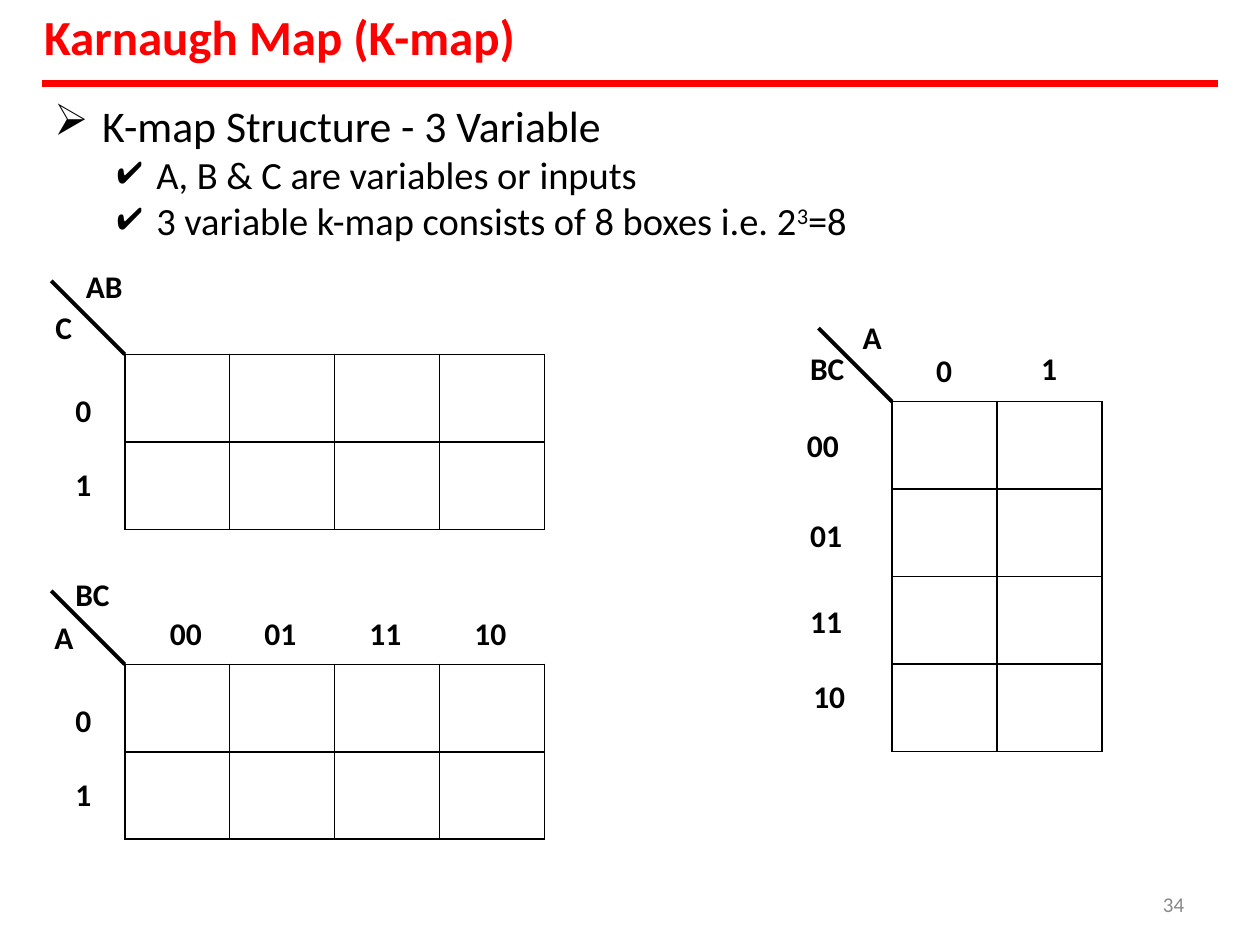
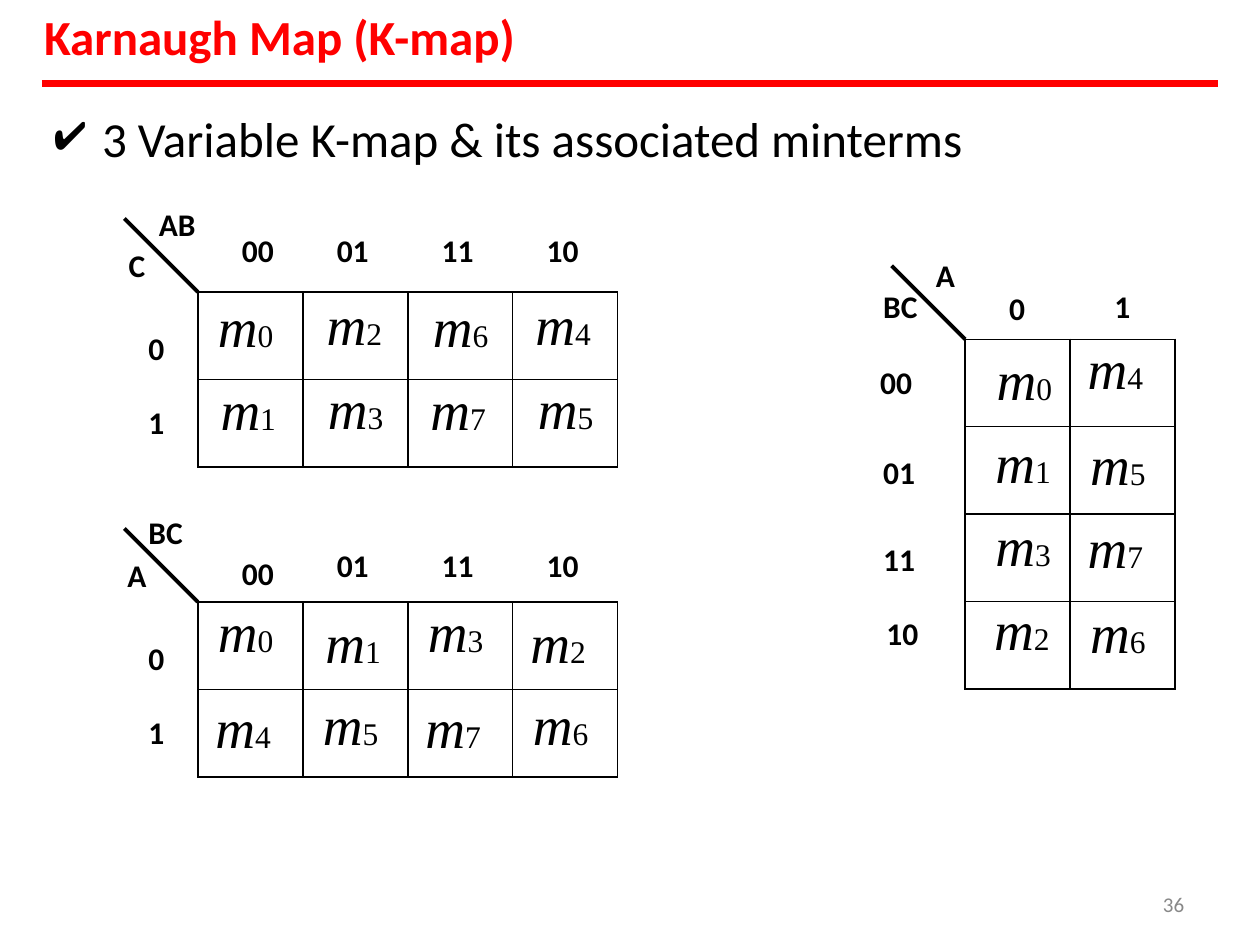
from lxml import etree
from pptx import Presentation
from pptx.dml.color import RGBColor
from pptx.enum.shapes import MSO_CONNECTOR
from pptx.oxml.ns import qn
from pptx.util import Inches, Pt

STRAIGHT = MSO_CONNECTOR.STRAIGHT
RED = RGBColor(0xFF, 0x00, 0x00)
BLACK = RGBColor(0x00, 0x00, 0x00)
GREY = RGBColor(0x88, 0x88, 0x88)
SANS, SERIF, SIGNS = "Calibri", "Times New Roman", "OpenSymbol"
WIDE, HIGH = Inches(10), Inches(7.5)

# Cell of a map; all parts of a map are placed in these units
COL, ROW = WIDE // 12, Pt(50)
GRAY = ["00", "01", "11", "10"]

# Corners of the maps, in percent of the slide
TOP, LOW, TALL = (9.9, 37.5), (9.9, 70.3), (70.8, 42.5)
SHIFT = (5.8, -6.6)

# Labels of the maps: text, columns and rows from the corner
SIDE = [("0", -0.48, 0.41), ("1", -0.48, 1.25)]
AB_C = [("AB", -0.38, -1.01), ("C", -0.67, -0.54)] + SIDE
BC_A = [("BC", -0.48, -1.03), ("A", -0.68, -0.54)] + SIDE
HEADS = [(code, 0.32 + i if i else 0.42, -0.59) for i, code in enumerate(GRAY)]
A_BC = [("A", -0.29, -0.97), ("BC", -0.79, -0.61),
        ("0", 0.41, -0.59), ("1", 1.41, -0.61),
        ("00", -0.82, 0.26), ("01", -0.79, 1.29),
        ("11", -0.79, 2.28), ("10", -0.76, 3.13)]

# Minterms: index, left and top margin in inches
TOP_TERMS = [[(0, 0.16, 0.05), (2, 0.19, 0.04), (6, 0.2, 0.05), (4, 0.18, 0.04)],
             [(1, 0.18, 0.02), (3, 0.2, 0.01), (7, 0.18, 0.02), (5, 0.2, 0.01)]]
LOW_TERMS = [[(0, 0.16, 0.01), (1, 0.18, 0.1), (3, 0.16, 0.01), (2, 0.14, 0.1)],
             [(4, 0.14, 0.08), (5, 0.16, 0.06), (7, 0.14, 0.08), (6, 0.16, 0.06)]]
TALL_TERMS = [[(0, 0.25, 0.1), (4, 0.14, 0.01)],
              [(1, 0.24, 0.06), (5, 0.16, 0.08)],
              [(3, 0.24, 0.03), (7, 0.14, 0.04)],
              [(2, 0.23, 0), (6, 0.16, 0.02)]]


def style(font, size, color=BLACK, bold=False, name=SANS):
    font.name, font.size, font.bold = name, Pt(size), bold
    font.color.rgb = color


def box(slide, x, y, w, h, wrap=False):
    frame = slide.shapes.add_textbox(int(x), int(y), int(w), int(h)).text_frame
    frame.margin_left = frame.margin_right = frame.margin_bottom = 0
    frame.margin_top = Inches(0.01)
    frame.word_wrap = wrap
    return frame


def write(slide, text, x, y, w, h, size, color=BLACK, bold=False):
    para = box(slide, x, y, w, h).paragraphs[0]
    para.text = text
    style(para.font, size, color, bold)


def rule(slide, x1, y1, x2, y2, width, color):
    line = slide.shapes.add_connector(STRAIGHT, int(x1), int(y1), int(x2), int(y2))
    line.line.width, line.line.color.rgb = Pt(width), color
    etree.SubElement(line._element.spPr, qn("a:effectLst"))


def bullet(para, mark, left, hang, size):
    props = para._p.get_or_add_pPr()
    props.set("marL", str(Inches(left)))
    props.set("indent", str(-Inches(hang)))
    tint = etree.SubElement(props, qn("a:buClr"))
    etree.SubElement(tint, qn("a:srgbClr")).set("val", str(BLACK))
    etree.SubElement(props, qn("a:buFont")).set("typeface", SIGNS)
    etree.SubElement(props, qn("a:buChar")).set("char", mark)
    style(para.font, size)


def edge(cell, drawn):
    """Draw the named sides of a cell and clear the others."""
    props = cell._tc.get_or_add_tcPr()
    for side in "LRTB":
        line = etree.SubElement(props, qn("a:ln" + side))
        if side in drawn:
            line.set("w", str(Pt(1)))
            fill = etree.SubElement(line, qn("a:solidFill"))
            etree.SubElement(fill, qn("a:srgbClr")).set("val", str(BLACK))
        else:
            etree.SubElement(line, qn("a:noFill"))
    cell.fill.background()


def pad(cell, left, top):
    cell.margin_left, cell.margin_top = Inches(left), Inches(top)
    cell.margin_right = cell.margin_bottom = 0


def term(cell, index, left, top):
    pad(cell, left, top)
    para = cell.text_frame.paragraphs[0]
    for text, size in (("m", 31.5), (str(index), 18)):
        run = para.add_run()
        run.text = text
        style(run.font, size, name=SERIF)
        run.font.italic = text == "m"


def head(cells, tops, drawn):
    """Fill a row of column codes that stands outside the map."""
    for i, (cell, code) in enumerate(zip(cells, GRAY)):
        pad(cell, 0.27 if i else 0.35, tops[min(i, 1)])
        para = cell.text_frame.paragraphs[0]
        para.text = code
        style(para.font, 18, bold=True)
        edge(cell, drawn)


def kmap(slide, corner, labels, cols, rows, terms=(), coded=False):
    """Place a map with its grid at the corner, given in percent."""
    x, y = WIDE * corner[0] / 100, HIGH * corner[1] / 100
    # Grid, with a row of codes above and below when coded
    above, below = Inches(0.47), Inches(0.98)
    heights = [ROW] * rows
    if coded:
        heights = [above] + heights + [below]
    start = int(y - above * coded)
    table = slide.shapes.add_table(len(heights), cols, int(x), start,
                                   COL * cols, sum(heights)).table
    table.first_row = table.horz_banding = False
    for col in table.columns:
        col.width = COL
    for row, height in zip(table.rows, heights):
        row.height = height
    body = [list(row.cells) for row in table.rows]
    if coded:
        head(body.pop(0), (0, 0), "B")
        head(body.pop(), (0.7, 0.64), "T")
    for r, cells in enumerate(body):
        for c, cell in enumerate(cells):
            if terms:
                term(cell, *terms[r][c])
            edge(cell, "LRTB")
    # Corner stroke and labels
    rule(slide, x, y, x - 0.7 * COL, y - 0.84 * ROW, 2.25, BLACK)
    for text, c, r in labels:
        write(slide, text, x + (c + 0.01) * COL, y + r * ROW,
              Inches(0.15) * len(text), Inches(0.33), 18, bold=True)


def base(deck, number):
    """Start a slide with title, red rule and page number."""
    slide = deck.slides.add_slide(deck.slide_layouts[6])
    write(slide, "Karnaugh Map (K-map)", WIDE * 0.035, HIGH * 0.006,
          WIDE * 0.378, HIGH * 0.067, 28, RED, True)
    rule(slide, WIDE / 30, HIGH * 0.088, WIDE * 29 / 30, HIGH * 0.088, 4, RED)
    write(slide, number, WIDE * 0.923, HIGH * 0.942,
          WIDE * 0.02, HIGH * 0.025, 12, GREY)
    return slide


def layout(deck):
    """Slide with the empty maps."""
    slide = base(deck, "34")
    frame = box(slide, WIDE * 0.039, HIGH * 0.103, WIDE * 0.642, HIGH * 0.16, True)
    first = frame.paragraphs[0]
    first.text = "K-map Structure - 3 Variable"
    bullet(first, "➢", 0.42, 0.38, 25)
    for text in ("A, B & C are variables or inputs",
                 "3 variable k-map consists of 8 boxes i.e. 2"):
        para = frame.add_paragraph()
        para.text, para.level = text, 1
        bullet(para, "✔", 0.85, 0.31, 22)
    power = para.add_run()
    power.text = "3"
    power._r.get_or_add_rPr().set("baseline", "30000")
    para.add_run().text = "=8"
    kmap(slide, TOP, AB_C, 4, 2)
    kmap(slide, LOW, BC_A + HEADS, 4, 2)
    kmap(slide, TALL, A_BC, 2, 4)


def minterms(deck):
    """Slide with the maps filled in."""
    slide = base(deck, "36")
    frame = box(slide, WIDE * 0.042, HIGH * 0.113, WIDE * 0.725, HIGH * 0.067, True)
    para = frame.paragraphs[0]
    para.text = "3 Variable K-map & its associated minterms"
    bullet(para, "✔", 0.39, 0.38, 28)
    top, low, tall = [(x + SHIFT[0], y + SHIFT[1]) for x, y in (TOP, LOW, TALL)]
    kmap(slide, top, AB_C, 4, 2, TOP_TERMS, coded=True)
    kmap(slide, low, BC_A, 4, 2, LOW_TERMS)
    kmap(slide, tall, A_BC, 2, 4, TALL_TERMS)


def main():
    deck = Presentation()
    deck.slide_width, deck.slide_height = WIDE, HIGH
    layout(deck)
    minterms(deck)
    deck.save("out.pptx")


if __name__ == "__main__":
    main()
